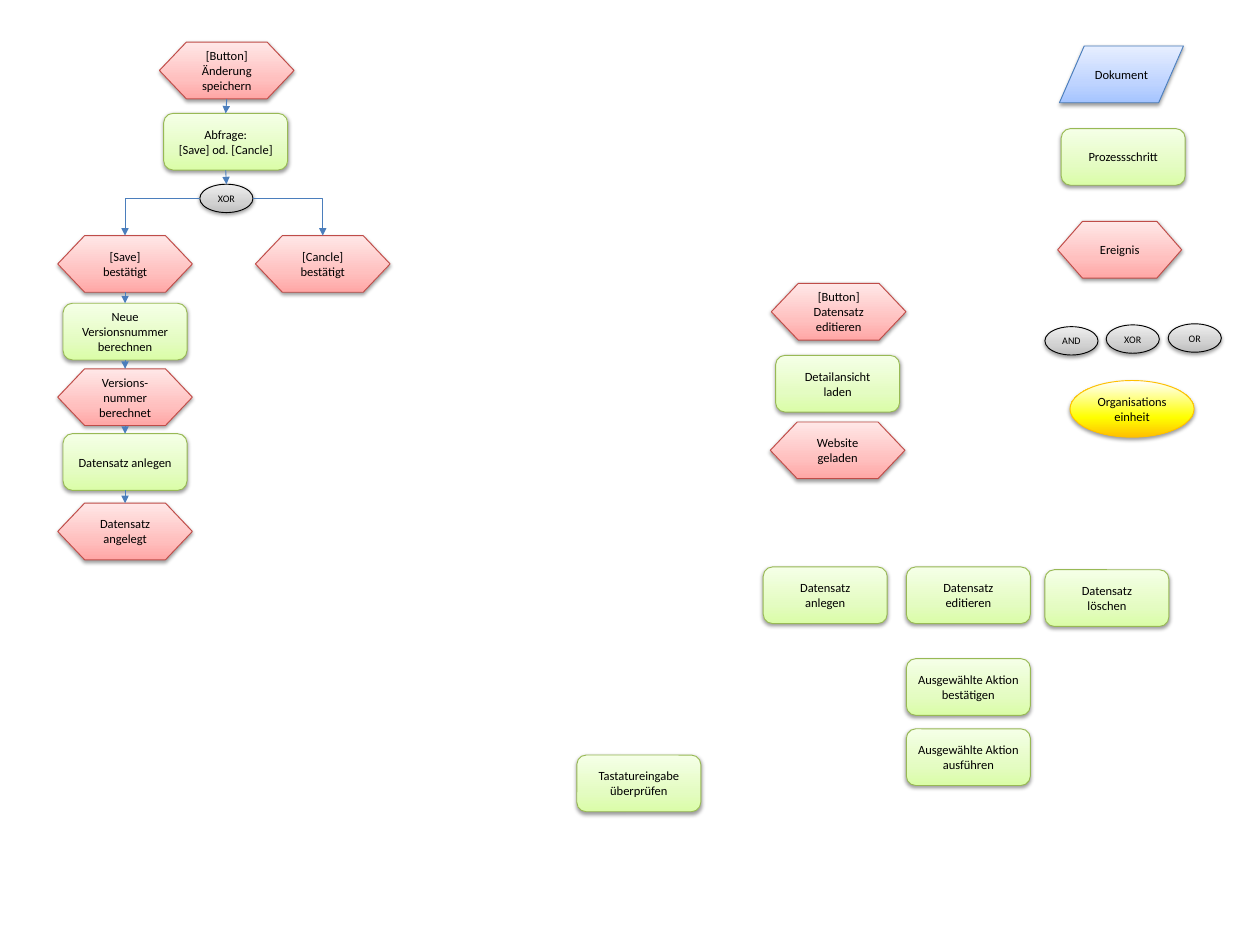
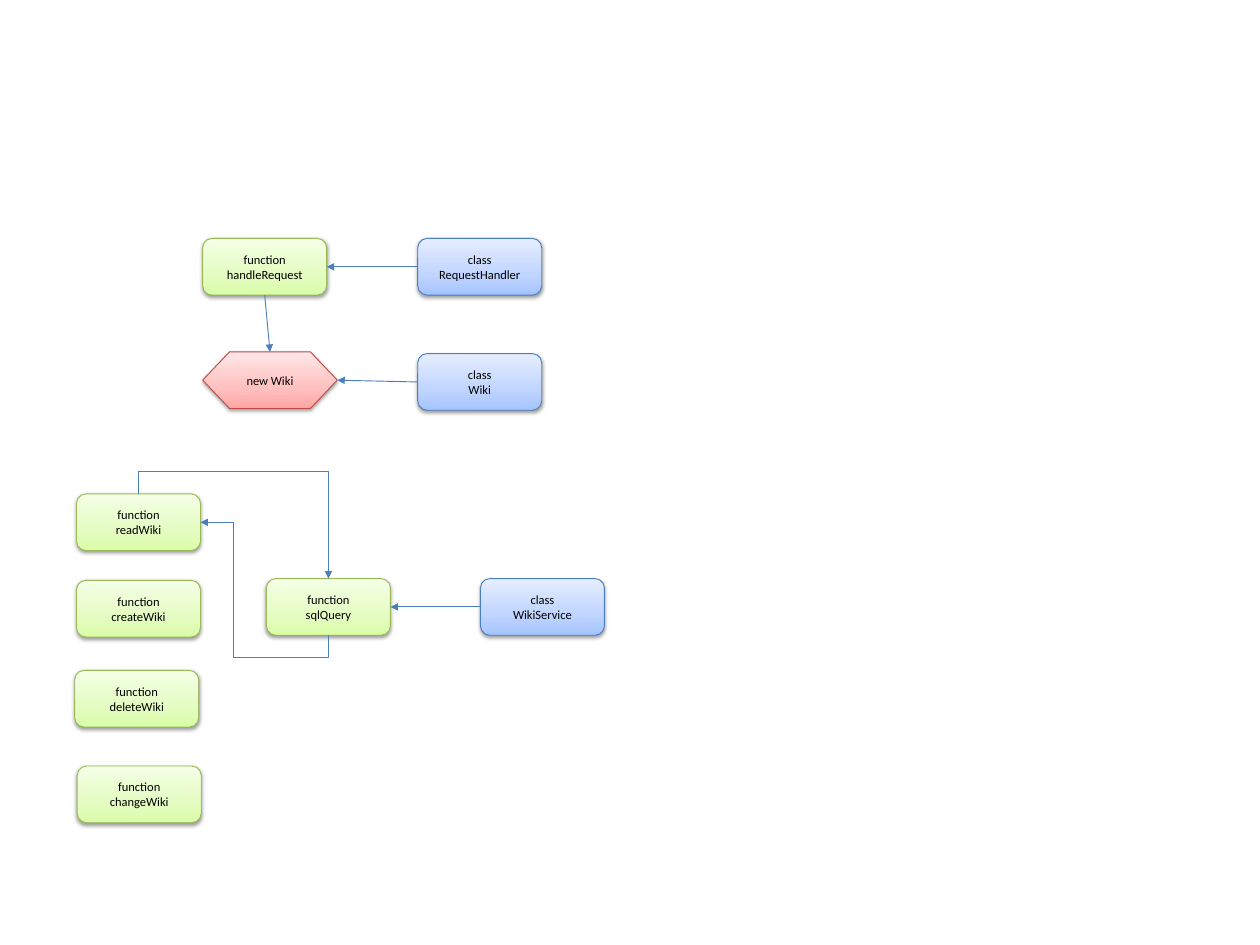
from pptx import Presentation
from pptx.dml.color import RGBColor
from pptx.enum.shapes import MSO_CONNECTOR, MSO_SHAPE
from pptx.enum.text import MSO_ANCHOR, PP_ALIGN
from pptx.oxml import parse_xml
from pptx.oxml.ns import nsdecls, qn
from pptx.util import Cm, Pt
from lxml.etree import SubElement

FONT = "Calibri"
COLORS = {
    "text": "000000", "arrow": "4B7EBC", "shadow": "000000",
    "red_line": "BF4C48", "green_line": "98B955", "blue_line": "4B7EBC",
    "gray_line": "000000", "yellow_line": "FFC000",
}
# Gradient stops at 0, 35 and 100 percent, from bottom to top
GRADIENTS = {
    "red": ("FFA6A5", "FFC0BF", "FFE7E7"),
    "green": ("DAFDA7", "E4FCC2", "F5FFE7"),
    "blue": ("A4C4FF", "BFD4FF", "E6EEFF"),
    "gray": ("BDBDBD", "D1D1D1", "EEEEEE"),
    "yellow": ("FFC000", "FFFF00", "FFFFFF"),
}
# Kind: preset, colour, width, height (cm), text size
KINDS = {
    "event": (MSO_SHAPE.FLOWCHART_PREPARATION, "red", 3.8, 1.6, 10),
    "small_event": (MSO_SHAPE.FLOWCHART_PREPARATION, "red", 3.5, 1.6, 10),
    "step": (MSO_SHAPE.ROUNDED_RECTANGLE, "green", 3.5, 1.6, 10),
    "class": (MSO_SHAPE.ROUNDED_RECTANGLE, "blue", 3.5, 1.6, 10),
    "document": (MSO_SHAPE.FLOWCHART_DATA, "blue", 3.5, 1.6, 10),
    "gate": (MSO_SHAPE.OVAL, "gray", 1.5, 0.8, 8),
    "unit": (MSO_SHAPE.OVAL, "yellow", 3.5, 1.6, 10),
}
SIDES = ("top", "left", "bottom", "right")

# Nodes: name -> kind, centre x, top y (cm), text with one line per paragraph
PROCESS = {
    # Legend
    "legend_event": ("small_event", 31.6, 6.25, "Ereignis"),
    "legend_document": ("document", 31.65, 1.3, "Dokument"),
    "legend_step": ("step", 31.7, 3.63, "Prozessschritt"),
    "legend_and": ("gate", 30.24, 9.22, "AND"),
    "legend_or": ("gate", 33.72, 9.14, "OR"),
    "legend_xor": ("gate", 31.97, 9.17, "XOR"),
    "legend_unit": ("unit", 31.95, 10.74, "Organisationseinheit"),
    # Single steps
    "check_input": ("step", 18.03, 21.31, "Tastatureingabe überprüfen"),
    "create": ("step", 23.29, 16, "Datensatz\nanlegen"),
    "edit": ("step", 27.33, 16, "Datensatz\neditieren"),
    "delete": ("step", 31.24, 16.08, "Datensatz\nlöschen"),
    "confirm_action": ("step", 27.33, 18.59, "Ausgewählte Aktion\nbestätigen"),
    "run_action": ("step", 27.33, 20.57, "Ausgewählte Aktion\nausführen"),
    "edit_button": ("event", 23.67, 8, "[Button]\nDatensatz\neditieren"),
    "load_detail": ("step", 23.64, 10.03, "Detailansicht\nladen"),
    "site_loaded": ("event", 23.64, 11.91, "Website\ngeladen"),
    # Save process
    "save_button": ("event", 6.4, 1.19, "[Button]\nÄnderung\nspeichern"),
    "ask": ("step", 6.37, 3.2, "Abfrage:\n[Save] od. [Cancle]"),
    "cancelled": ("event", 9.11, 6.65, "[Cancle]\nbestätigt"),
    "xor": ("gate", 6.39, 5.2, "XOR"),
    "saved": ("event", 3.53, 6.65, "[Save]\nbestätigt"),
    "store": ("step", 3.53, 12.24, "Datensatz anlegen"),
    "number": ("step", 3.53, 8.56, "Neue Versionsnummer berechnen"),
    "numbered": ("event", 3.53, 10.41, "Versions-nummer berechnet"),
    "stored": ("event", 3.53, 14.2, "Datensatz angelegt"),
}
SAVE_CHAIN = ["saved", "number", "numbered", "store", "stored"]
# Links: from, side, to, side, preset, adjustments
PROCESS_LINKS = [
    ("save_button", "bottom", "ask", "top", "line", ()),
    ("ask", "bottom", "xor", "top", "line", ()),
    ("xor", "right", "cancelled", "top", "bentConnector2", ()),
    ("xor", "left", "saved", "top", "bentConnector2", ()),
] + [(a, "bottom", b, "top", "line", ()) for a, b in zip(SAVE_CHAIN, SAVE_CHAIN[1:])]

CODE = {
    "RequestHandler": ("class", 13.54, 6.73, "class\nRequestHandler"),
    "new Wiki": ("event", 7.62, 9.93, "new Wiki"),
    "Wiki": ("class", 13.54, 9.98, "class\nWiki"),
    "handleRequest": ("step", 7.47, 6.73, "function\nhandleRequest"),
    "WikiService": ("class", 15.31, 16.33, "class\nWikiService"),
    "sqlQuery": ("step", 9.27, 16.33, "function\nsqlQuery"),
    "readWiki": ("step", 3.91, 13.94, "function\nreadWiki"),
    "createWiki": ("step", 3.91, 16.38, "function\ncreateWiki"),
    "deleteWiki": ("step", 3.86, 18.92, "function\ndeleteWiki"),
    "changeWiki": ("step", 3.93, 21.62, "function\nchangeWiki"),
}
CODE_LINKS = [
    ("RequestHandler", "left", "handleRequest", "right", "line", ()),
    ("Wiki", "left", "new Wiki", "right", "line", ()),
    ("handleRequest", "bottom", "new Wiki", "top", "line", ()),
    ("WikiService", "left", "sqlQuery", "right", "line", ()),
    ("readWiki", "top", "sqlQuery", "top", "bentConnector3", (-26500,)),
    ("sqlQuery", "bottom", "readWiki", "right", "bentConnector4", (-19800, 74100)),
]


def style_line(line, color):
    line.color.rgb = RGBColor.from_string(COLORS[color])
    line.width = Pt(0.75)


def add_node(s, kind, center, top, text):
    preset, color, w, h, size = KINDS[kind]
    sp = s.shapes.add_shape(preset, Cm(center - w / 2), Cm(top), Cm(w), Cm(h))
    # Gradient, outline, soft shadow
    stops = "".join(f'<a:gs pos="{pos}"><a:srgbClr val="{rgb}"/></a:gs>'
                    for pos, rgb in zip((0, 35000, 100000), GRADIENTS[color]))
    sp_pr = sp._element.spPr
    sp_pr.append(parse_xml(
        f'<a:gradFill {nsdecls("a")} rotWithShape="1"><a:gsLst>{stops}</a:gsLst>'
        '<a:lin ang="16200000" scaled="0"/></a:gradFill>'))
    style_line(sp.line, color + "_line")
    sp_pr.append(parse_xml(
        f'<a:effectLst {nsdecls("a")}><a:outerShdw blurRad="40000" dist="20000" '
        f'dir="5400000" rotWithShape="0"><a:srgbClr val="{COLORS["shadow"]}">'
        '<a:alpha val="38000"/></a:srgbClr></a:outerShdw></a:effectLst>'))
    # Text
    tf = sp.text_frame
    tf.word_wrap = True
    tf.vertical_anchor = MSO_ANCHOR.MIDDLE
    tf.text = text
    for p in tf.paragraphs:
        p.alignment = PP_ALIGN.CENTER
        p.font.name = FONT
        p.font.size = Pt(size)
        p.font.color.rgb = RGBColor.from_string(COLORS["text"])
    return sp


def side_point(sp, side):
    x, y = sp.left + sp.width // 2, sp.top + sp.height // 2
    return {"top": (x, sp.top), "bottom": (x, sp.top + sp.height),
            "left": (sp.left, y), "right": (sp.left + sp.width, y)}[side]


def site(sp, side):
    # An ellipse has eight connection sites, the other outlines four
    step = 2 if sp.auto_shape_type == MSO_SHAPE.OVAL else 1
    return str(SIDES.index(side) * step)


def add_link(s, start, start_side, end, end_side, preset, adjustments):
    (x1, y1), (x2, y2) = side_point(start, start_side), side_point(end, end_side)
    kind = MSO_CONNECTOR.STRAIGHT if preset == "line" else MSO_CONNECTOR.ELBOW
    c = s.shapes.add_connector(kind, x1, y1, x2, y2)
    style_line(c.line, "arrow")
    sp_pr = c._element.spPr
    SubElement(sp_pr.find(qn("a:ln")), qn("a:tailEnd"), type="triangle")
    SubElement(sp_pr, qn("a:effectLst"))
    # Glue both ends to their nodes
    glue = c._element.find(qn("p:nvCxnSpPr")).find(qn("p:cNvCxnSpPr"))
    for tag, sp, side in (("a:stCxn", start, start_side), ("a:endCxn", end, end_side)):
        SubElement(glue, qn(tag), id=str(sp.shape_id), idx=site(sp, side))
    # Bends
    geom = sp_pr.find(qn("a:prstGeom"))
    geom.set("prst", preset)
    for i, value in enumerate(adjustments, 1):
        SubElement(geom.find(qn("a:avLst")), qn("a:gd"),
                   name=f"adj{i}", fmla=f"val {value}")
    if adjustments:
        # A path that leaves vertically is a turned, mirrored horizontal one
        w, h = abs(y2 - y1), abs(x2 - x1)
        c.left, c.top = (x1 + x2 - w) // 2, (y1 + y2 - h) // 2
        c.width, c.height = w, h
        xfrm = sp_pr.find(qn("a:xfrm"))
        xfrm.set("rot", "16200000" if y2 > y1 else "5400000")
        xfrm.set("flipH", "1")
        xfrm.set("flipV", "0")


prs = Presentation()
prs.slide_width, prs.slide_height = Cm(35.56), Cm(26.67)
for nodes, links in ((PROCESS, PROCESS_LINKS), (CODE, CODE_LINKS)):
    s = prs.slides.add_slide(prs.slide_layouts[6])
    shapes = {name: add_node(s, *node) for name, node in nodes.items()}
    for a, a_side, b, b_side, preset, adjustments in links:
        add_link(s, shapes[a], a_side, shapes[b], b_side, preset, adjustments)
prs.save("out.pptx")
